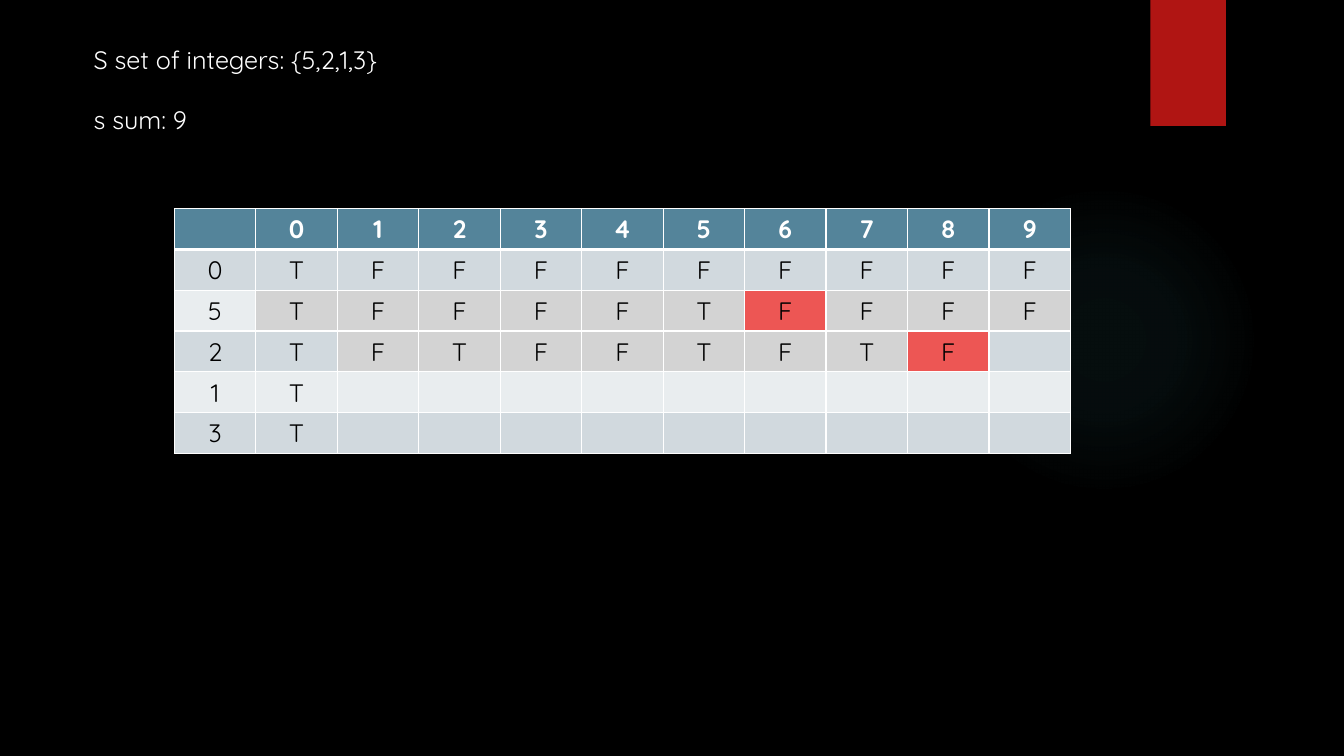
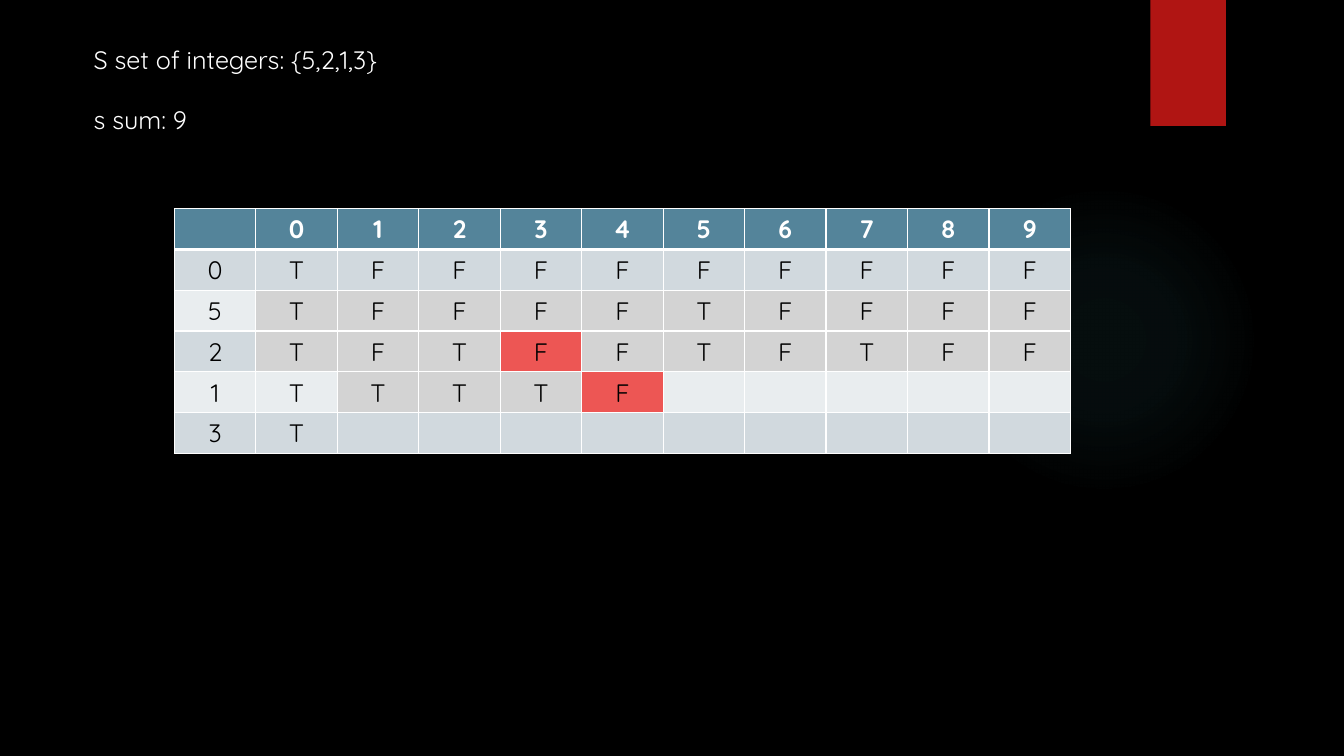
from pptx import Presentation, oxml
from pptx import util as u
from pptx.dml.color import RGBColor
from pptx.enum import shapes, text
from pptx.oxml.ns import nsdecls

FONT = "Quicksand"
WHITE, BLACK, RED = "FFFFFF", "000000", "B01513"
HEAD, DONE, HOT = "54849A", "D3D3D3", "ED5654"
BANDS = ["E9EDEF", "D1D9DE"]
GLOW = "50B9C1"
INTRO = ["S set of integers: {5,2,1,3}", "s sum: 9"]
TOP = [" 0123456789", "0TFFFFFFFFF", "5TFFFFTFFFF"]

STEPS = [
    {
        "rows": TOP + ["2TFTFFTFTF ", "1T         ", "3T         "],
        "done": {2: (1, 10), 3: (2, 9)},
        "hot": {(2, 7), (3, 9)},
    },
    {
        "rows": TOP + ["2TFTFFTFTFF", "1TTTTF     ", "3T         "],
        "done": {2: (1, 10), 3: (1, 10), 4: (2, 5)},
        "hot": {(3, 4), (4, 5)},
    },
]


def paint(fill, color):
    fill.solid()
    fill.fore_color.rgb = RGBColor.from_string(color)


def write(para, words, color, bold=False):
    run = para.add_run()
    run.text = words
    run.font.name = FONT
    run.font.size = u.Pt(18)
    run.font.bold = bold
    run.font.color.rgb = RGBColor.from_string(color)


def add_form(slide, kind, *box):
    form = slide.shapes.add_shape(kind, *map(u.Inches, box))
    form.shadow.inherit = False
    form.line.fill.background()
    return form


def add_glow(slide):
    glow = add_form(slide, shapes.MSO_SHAPE.OVAL, 9.41, 1.83, 3.08, 3.08)
    stops = "".join(
        f'<a:gs pos="{pos * 1000}"><a:srgbClr val="{GLOW}">'
        f'<a:alpha val="{alpha * 1000}"/></a:srgbClr></a:gs>'
        for pos, alpha in [(0, 7), (36, 6), (69, 0)]
    )
    grad = oxml.parse_xml(
        f'<a:gradFill {nsdecls("a")}><a:gsLst>{stops}</a:gsLst><a:path path="circle">'
        '<a:fillToRect l="50000" t="50000" r="50000" b="50000"/></a:path></a:gradFill>'
    )
    glow.fill.background()
    props = glow.element.spPr
    props.replace(props.find(oxml.ns.qn("a:noFill")), grad)


def add_decor(slide):
    add_glow(slide)
    flag = add_form(slide, shapes.MSO_SHAPE.RECTANGLE, 11.41, 0, 0.75, 1.25)
    paint(flag.fill, RED)


def add_intro(slide):
    box = slide.shapes.add_textbox(*map(u.Inches, (0.83, 0.39, 3.19, 1.01)))
    frame = box.text_frame
    frame.word_wrap = False
    for num, line in enumerate(INTRO):
        para = frame.add_paragraph() if num else frame.paragraphs[0]
        if num:
            para.space_before = u.Pt(21)
        write(para, line, WHITE)


def edge(cell, base):
    props = cell._tc.get_or_add_tcPr()
    for side, width in zip("LRTB", (1, 1, 1, base)):
        props.append(oxml.parse_xml(
            f'<a:ln{side} {nsdecls("a")} w="{u.Pt(width)}"><a:solidFill>'
            f'<a:srgbClr val="{WHITE}"/></a:solidFill></a:ln{side}>'
        ))


def shade(step, row, col):
    if row == 0:
        return HEAD
    if (row, col) in step["hot"]:
        return HOT
    first, last = step["done"].get(row, (0, -1))
    return DONE if first <= col <= last else BANDS[row % 2]


def add_grid(slide, step):
    rows = step["rows"]
    count = len(rows[0])
    box = map(u.Inches, (1.73, 2.07, 8.89, 2.43))
    grid = slide.shapes.add_table(len(rows), count, *box).table
    grid.horz_banding = False
    for col in grid.columns:
        col.width = u.Inches(8.89 / count)
    for row, marks in enumerate(rows):
        grid.rows[row].height = u.Inches(2.43 / len(rows))
        for col, mark in enumerate(marks):
            cell = grid.cell(row, col)
            edge(cell, 1 if row else 3)
            paint(cell.fill, shade(step, row, col))
            para = cell.text_frame.paragraphs[0]
            para.alignment = text.PP_ALIGN.CENTER
            if mark != " ":
                write(para, mark, BLACK if row else WHITE, row == 0)


def main():
    deck = Presentation()
    deck.slide_width, deck.slide_height = u.Inches(13.33), u.Inches(7.5)
    paint(deck.slide_master.background.fill, BLACK)
    for step in STEPS:
        slide = deck.slides.add_slide(deck.slide_layouts[6])
        add_decor(slide)
        add_intro(slide)
        add_grid(slide, step)
    deck.save("out.pptx")


if __name__ == "__main__":
    main()
